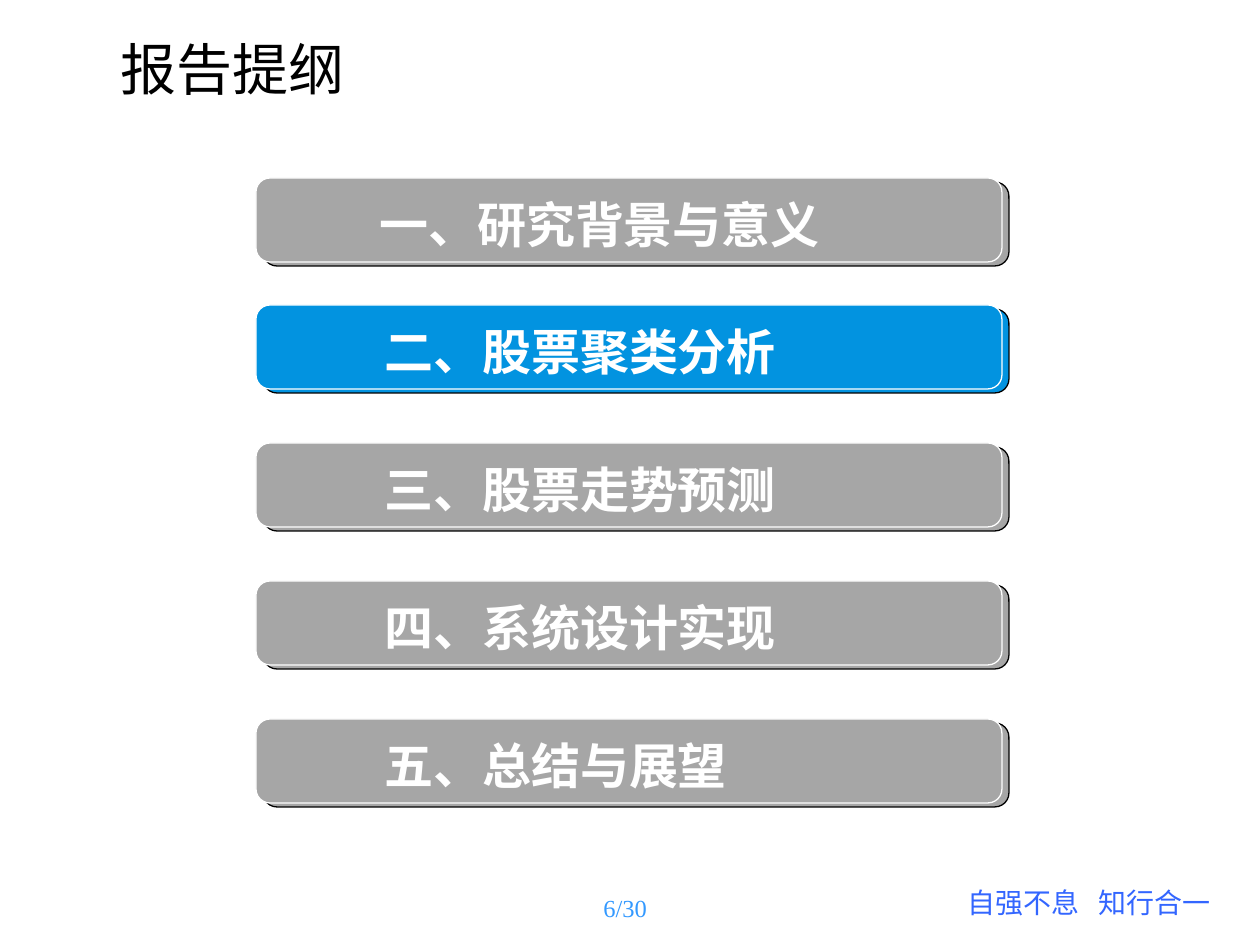
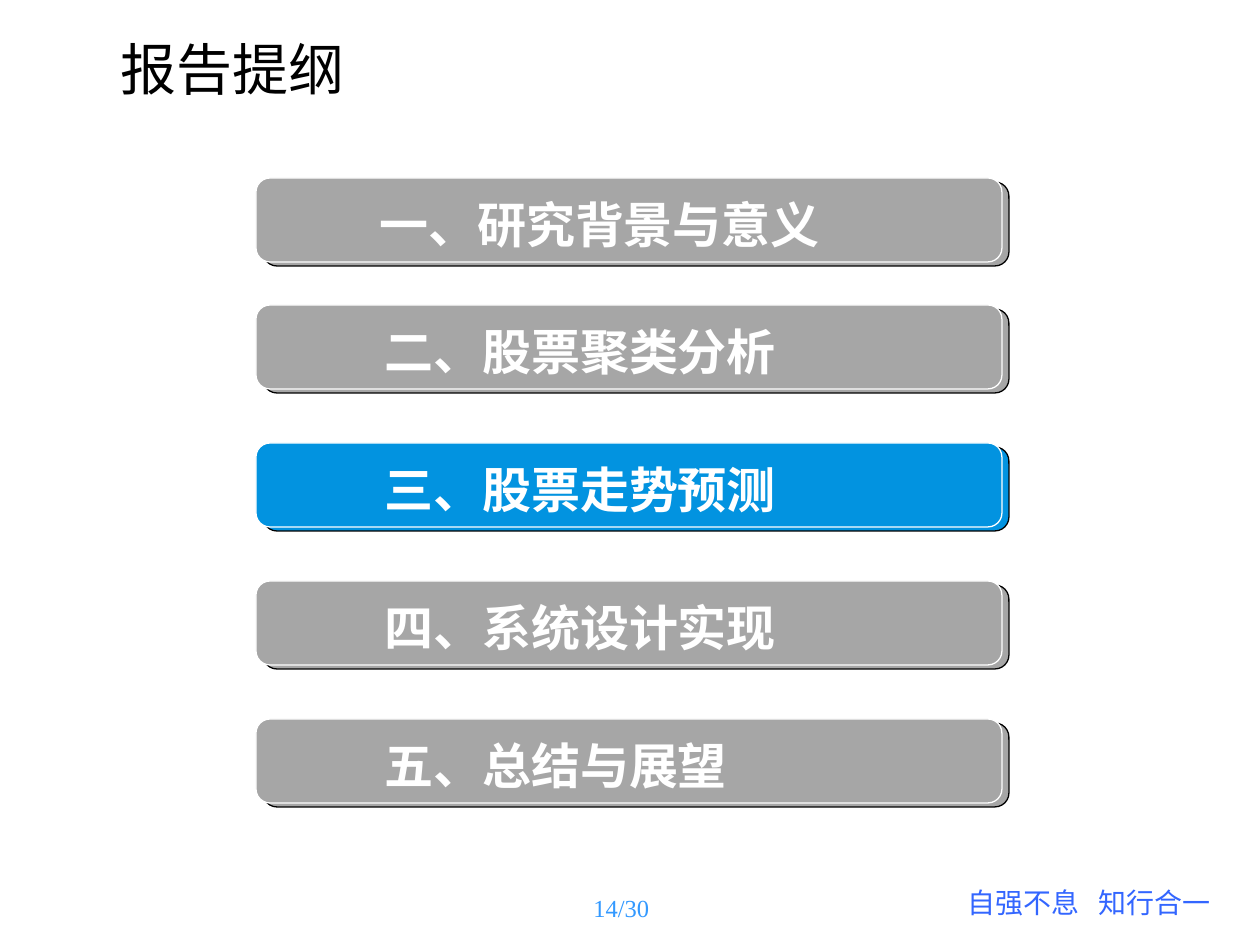
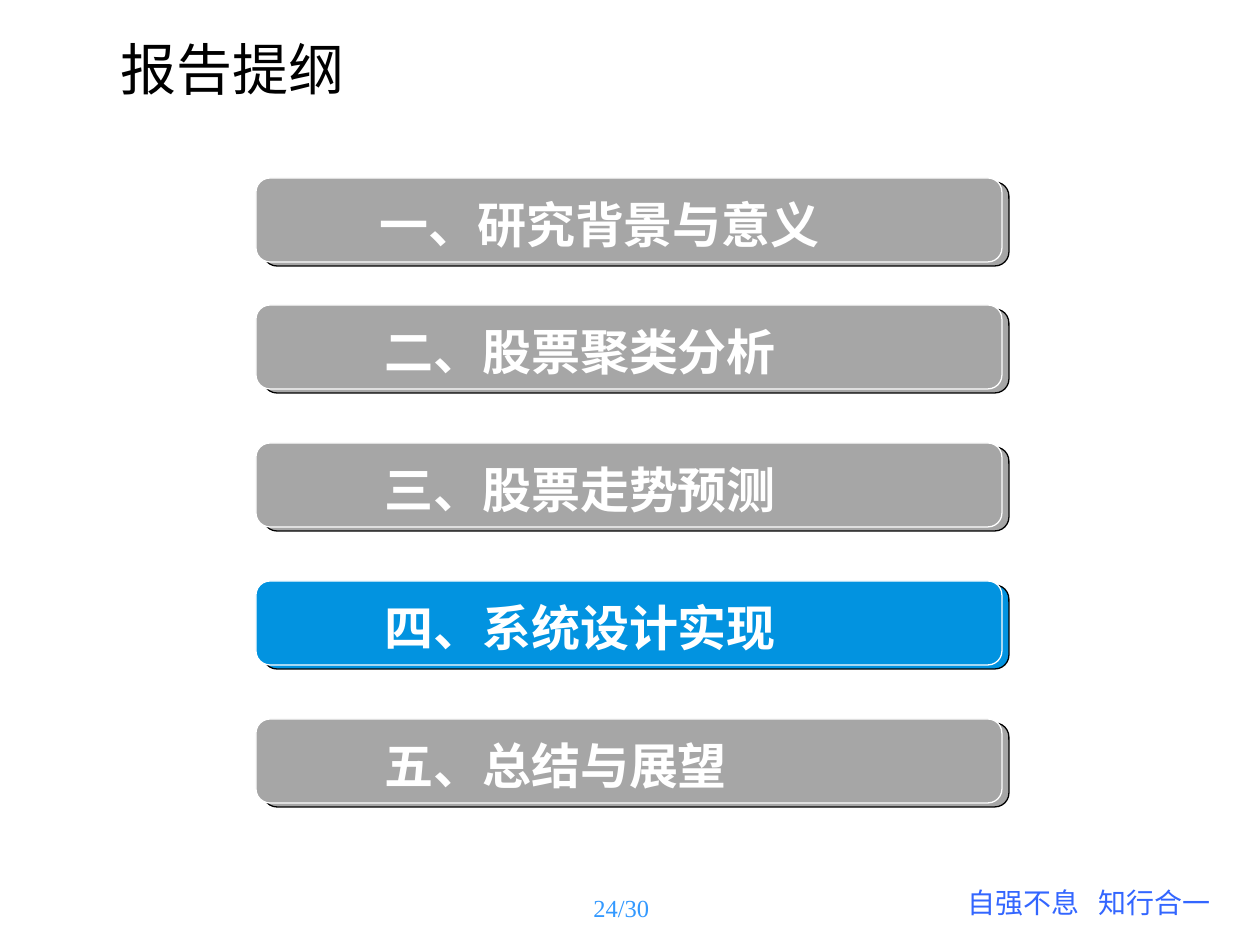
from lxml.etree import SubElement
from pptx import Presentation
from pptx.dml.color import RGBColor
from pptx.enum.shapes import MSO_SHAPE
from pptx.enum.text import MSO_ANCHOR, PP_ALIGN
from pptx.oxml import parse_xml
from pptx.oxml.ns import nsdecls, qn
from pptx.util import Pt

PX = 914400 // 126
COLORS = {
    "background": "FFFFFF",
    "title": "000000",
    "active": "0293E0",
    "inactive": "A6A6A6",
    "back_edge": "000000",
    "front_edge": "FFFFFF",
    "label": "FFFFFF",
    "motto": "3366FF",
    "page": "3399FF",
}
SANS = "Noto Sans CJK SC"

# Outline entries: label, bar top, label left, label width
FIRST_TOP, SECOND_TOP, BAR_STEP = 178, 305, 138
SECTIONS = [("一、研究背景与意义", FIRST_TOP, 367, 541)]
for index, label in enumerate(
    ["二、股票聚类分析", "三、股票走势预测", "四、系统设计实现", "五、总结与展望"]
):
    SECTIONS.append((label, SECOND_TOP + index * BAR_STEP, 372, 537))

# Slides: highlighted section, page number, left and width of its box
SLIDES = [(1, "6/30", 591, 79), (2, "14/30", 581, 88), (3, "24/30", 581, 88)]


def write_text(shape, text, size, color, font_name=SANS, bold=False):
    frame = shape.text_frame
    frame.word_wrap = True
    frame.vertical_anchor = MSO_ANCHOR.TOP
    paragraph = frame.paragraphs[0]
    paragraph.text = text
    paragraph.alignment = PP_ALIGN.LEFT
    font = paragraph.font
    font.size = Pt(size)
    font.bold = bold
    font.color.rgb = RGBColor.from_string(COLORS[color])
    font.name = font_name
    properties = paragraph._p.get_or_add_pPr()
    SubElement(properties.find(qn("a:defRPr")), qn("a:ea"), typeface=font_name)
    return paragraph


def add_box(shapes, kind, left, top, width, height, fill, edge=None):
    shape = shapes.add_shape(kind, left * PX, top * PX, width * PX, height * PX)
    shape.shadow.inherit = False
    shape.fill.solid()
    shape.fill.fore_color.rgb = RGBColor.from_string(COLORS[fill])
    if edge:
        shape.line.color.rgb = RGBColor.from_string(COLORS[edge])
        shape.line.width = Pt(0.75)
    else:
        shape.line.fill.background()
    return shape


presentation = Presentation()
presentation.slide_width = 1260 * PX
presentation.slide_height = 945 * PX

for active, page, page_left, page_width in SLIDES:
    slide = presentation.slides.add_slide(presentation.slide_layouts[6])
    slide.background.fill.solid()
    slide.background.fill.fore_color.rgb = RGBColor.from_string(COLORS["background"])

    # Motto in the footer, its two halves set apart by a tab stop
    motto = slide.shapes.add_textbox(955 * PX, 879 * PX, 276 * PX, 47 * PX)
    paragraph = write_text(motto, "自强不息\t知行合一", 16, "motto", "Noto Sans CJK JP")
    tabs = parse_xml(f'<a:tabLst {nsdecls("a")}><a:tab pos="{131 * PX}" algn="l"/></a:tabLst>')
    paragraph._p.get_or_add_pPr().insert(0, tabs)

    # Title
    title = slide.shapes.add_textbox(108 * PX, 29 * PX, 1095 * PX, 79 * PX)
    write_text(title, "报告提纲", 32, "title")
    title.text_frame.vertical_anchor = MSO_ANCHOR.MIDDLE

    # Outline bars: back plate, front plate and label
    for index, (label, top, label_left, label_width) in enumerate(SECTIONS):
        fill = "active" if index == active else "inactive"
        bar = slide.shapes.add_group_shape().shapes
        add_box(bar, MSO_SHAPE.ROUNDED_RECTANGLE, 263, top + 4, 746, 84, fill, "back_edge")
        add_box(bar, MSO_SHAPE.ROUNDED_RECTANGLE, 256, top, 746, 84, fill, "front_edge")
        plate = add_box(bar, MSO_SHAPE.RECTANGLE, label_left, top + 10, label_width, 72, fill)
        write_text(plate, label, 28, "label", bold=True)

    # Page number
    number = slide.shapes.add_textbox(page_left * PX, 887 * PX, page_width * PX, 43 * PX)
    write_text(number, page, 14, "page", "Times New Roman")

presentation.save("out.pptx")
